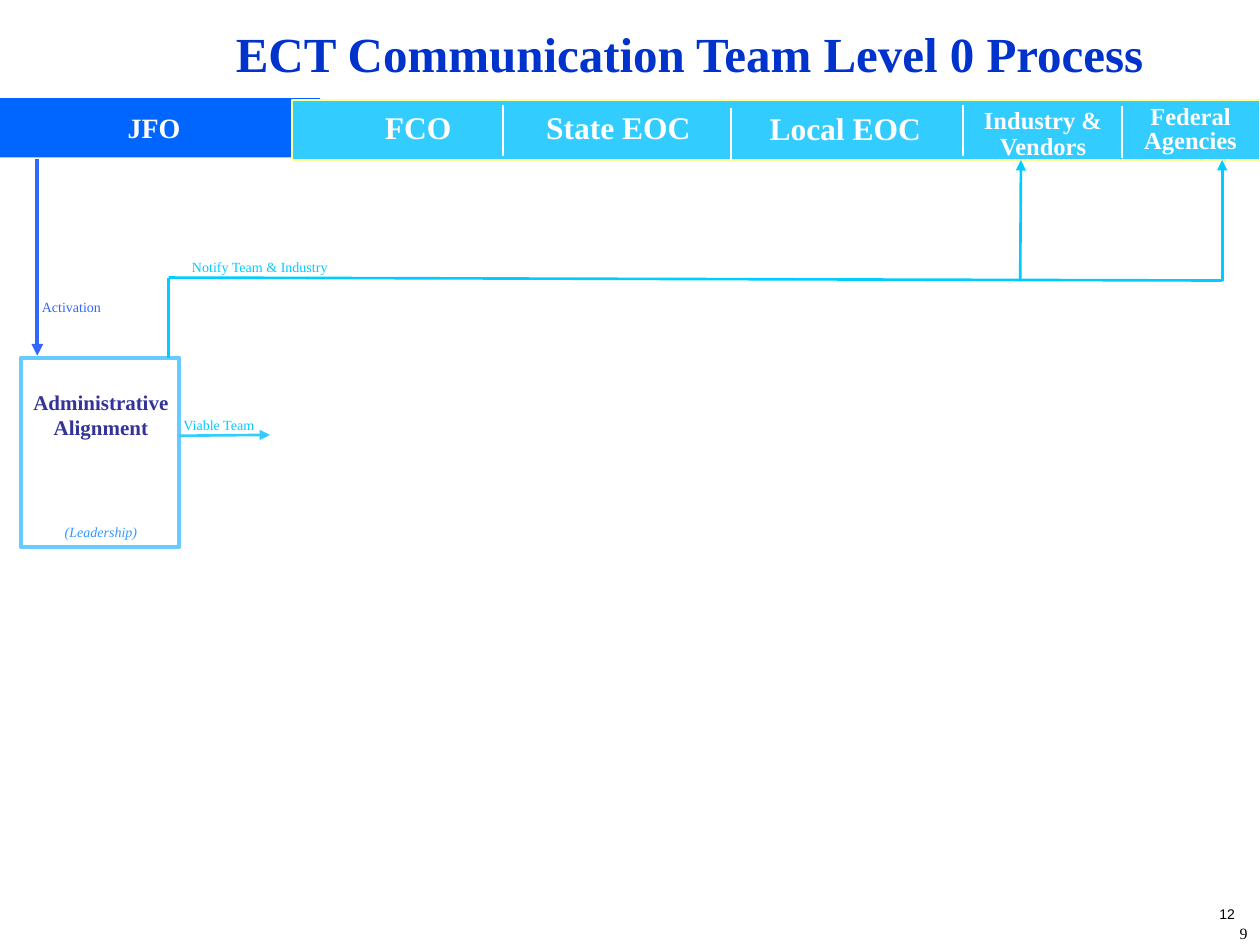
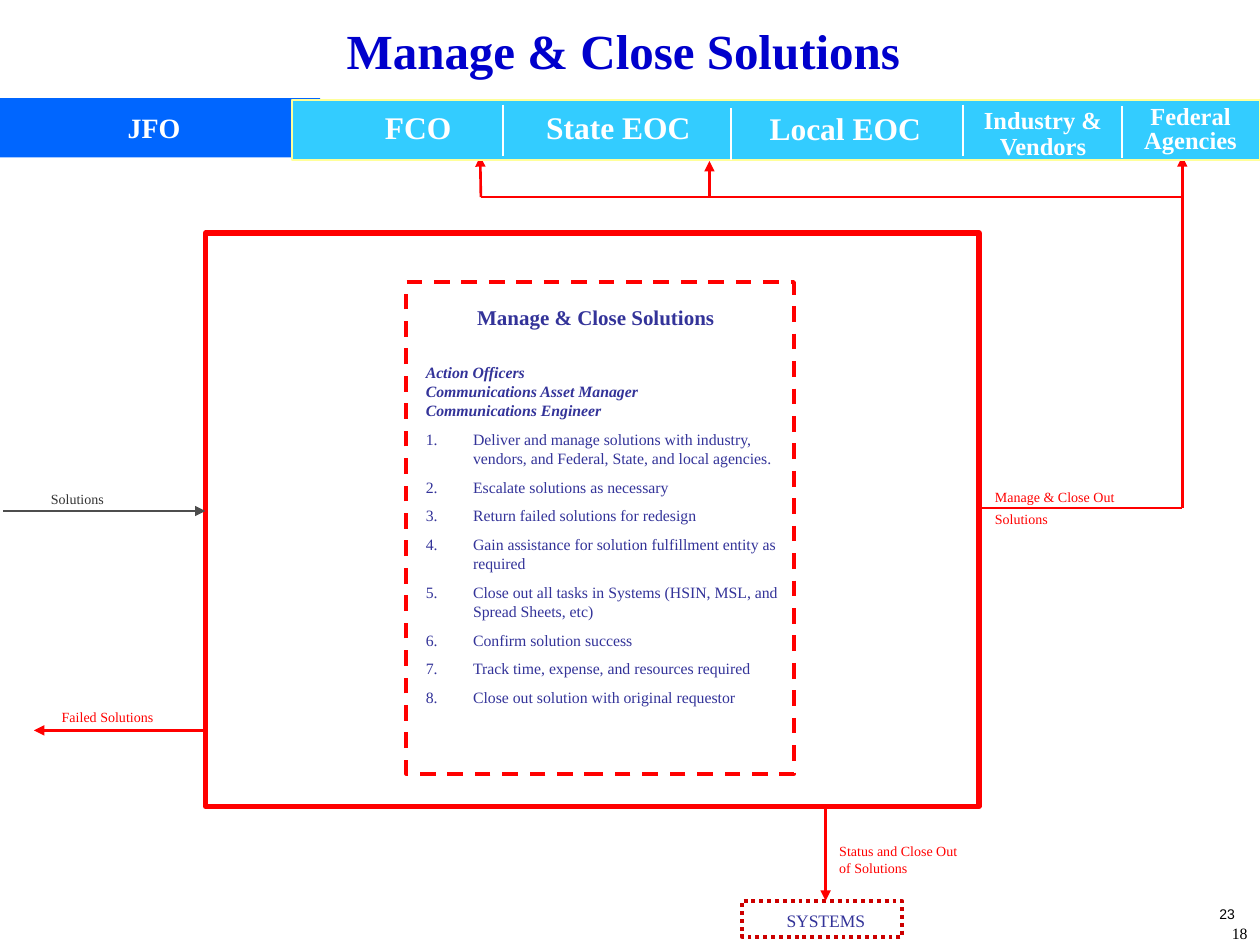
from typing import NamedTuple, Optional

import lxml.etree
import pptx
import pptx.dml.color
import pptx.enum.dml
import pptx.enum.shapes
import pptx.enum.text
import pptx.oxml.ns
import pptx.util

Pt = pptx.util.Pt
qn = pptx.oxml.ns.qn
Align = pptx.enum.text.PP_ALIGN
Dash = pptx.enum.dml.MSO_LINE

SERIF = "Times New Roman"
WHITE = "FFFFFF"
BLACK = "000000"
BLUE = "3366FF"
CYAN = "00CCFF"
SKY = "33CCFF"
INDIGO = "333399"
RED = "FF0000"
GREY = "4D4D4D"


class Label(NamedTuple):
    text: str
    left: float
    top: float
    width: float
    height: float
    size: float
    color: str
    align: Align = Align.LEFT
    bold: bool = False
    spacing: Optional[float] = None
    font: str = SERIF


class Box(NamedTuple):
    left: float
    top: float
    width: float
    height: float
    fill: Optional[str] = None
    line: Optional[str] = None
    weight: float = 1
    dash: Optional[Dash] = None


class Flow(NamedTuple):
    start: tuple[float, float]
    end: tuple[float, float]
    color: str
    weight: float = 1.5
    arrow: bool = True


BAND_BOXES = [
    Box(0, 56, 183, 34, "0066FF"),
    Box(167, 57, 553, 34.5, SKY, "FFFF99"),
]
BAND_LABELS = [
    Label("JFO", 0, 62, 176, 24.5, 16, WHITE, Align.CENTER, True, 0.9),
    Label("FCO", 206, 58.3, 66, 29, 18, WHITE, Align.CENTER, True),
    Label("State EOC", 287.3, 58.3, 132, 29, 18, WHITE, Align.CENTER, True),
    Label("Local EOC", 430, 59, 106, 29, 18, WHITE, Align.CENTER, True),
    Label("Industry & Vendors", 542, 58.3, 108, 37.5, 14, WHITE, Align.CENTER, True, 0.9),
    Label("Federal Agencies", 628.5, 57.6, 103.7, 34.5, 14, WHITE, Align.CENTER, True, 0.8),
]
BAND_DIVIDERS = [(287.3, 59.8), (417.6, 61.9), (550.4, 59.8), (641.2, 60.5)]
DIVIDER_HEIGHT = 29.5

ALIGNMENT_FLOWS = [
    Flow((21.3, 90.7), (21.3, 203.3), BLUE, 2.25),
    Flow((102.3, 249), (154.3, 248.5), SKY),
    Flow((96.3, 158.6), (96.3, 204.5), CYAN, arrow=False),
    Flow((96.3, 158.6), (698.4, 160.3), CYAN, arrow=False),
    Flow((583, 160), (583.4, 91.5), CYAN),
    Flow((698.4, 160.3), (698.4, 91.5), CYAN),
]
ALIGNMENT_LABELS = [
    Label("Activation", 16.8, 167, 54, 17, 8, BLUE),
    Label("Viable Team", 97.7, 233.3, 56.5, 18, 8, CYAN, spacing=1.1),
    Label("Notify Team & Industry", 102.6, 148.3, 129, 12.5, 8, CYAN, spacing=0.5),
]

SOLUTION_BOXES = [
    Box(117.4, 133.2, 442, 327.6, WHITE, RED, 3),
    Box(232.2, 161.2, 221.5, 281, None, RED, 2.25, Dash.DASH),
    Box(424, 514.8, 91.5, 20.5, None, "CC0000", 2.25, Dash.ROUND_DOT),
]
SOLUTION_FLOWS = [
    Flow((2, 292), (117.4, 292), GREY),
    Flow((559, 290.2), (675.6, 290.2), RED, arrow=False),
    Flow((675.6, 290.2), (675.6, 112.7), RED, arrow=False),
    Flow((274.8, 112.7), (675.6, 112.7), RED, arrow=False),
    Flow((274.8, 112.7), (274.4, 89.3), RED),
    Flow((405.4, 112.7), (405.4, 92), RED),
    Flow((675.6, 112.7), (675.6, 89.3), RED),
    Flow((471.8, 460.8), (471.8, 514.8), RED),
    Flow((117.4, 417.4), (19.4, 417.4), RED),
]
SOLUTION_LABELS = [
    Label("Solutions", 22, 275.8, 87, 18, 8, "333333", spacing=1.1),
    Label("Manage & Close Out Solutions", 561.4, 273, 106, 32.5, 8, RED, spacing=1.3),
    Label("Status and Close Out of Solutions", 472.5, 478, 88.5, 26.5, 8, RED),
    Label("Failed Solutions", 28.2, 401.2, 88.5, 17, 8, RED),
    Label("SYSTEMS", 433.4, 516.3, 77, 19.5, 10, INDIGO, Align.CENTER),
    Label("Manage & Close Solutions", 248, 170.6, 185, 21.5, 12, INDIGO, Align.CENTER, True),
]
ROLES = ["Action Officers", "Communications Asset Manager", "Communications Engineer"]
STEPS = [
    "Deliver and manage solutions with industry, vendors, and Federal, State, and local agencies.",
    "Escalate solutions as necessary",
    "Return failed solutions for redesign",
    "Gain assistance for solution fulfillment entity as required",
    "Close out all tasks in Systems (HSIN, MSL, and Spread Sheets, etc)",
    "Confirm solution success",
    "Track time, expense, and resources required",
    "Close out solution with original requestor",
]


def rgb(color: str) -> pptx.dml.color.RGBColor:
    return pptx.dml.color.RGBColor.from_string(color)


def set_font(para, size: float, color: str, bold: bool = False, italic: bool = False,
             name: str = SERIF) -> None:
    font = para.font
    font.name, font.size, font.bold, font.italic = name, Pt(size), bold, italic
    font.color.rgb = rgb(color)


def add_frame(shapes, left: float, top: float, width: float, height: float):
    """Add a wrapping text box and return its text frame."""
    frame = shapes.add_textbox(Pt(left), Pt(top), Pt(width), Pt(height)).text_frame
    frame.word_wrap = True
    return frame


def add_label(shapes, label: Label):
    frame = add_frame(shapes, label.left, label.top, label.width, label.height)
    para = frame.paragraphs[0]
    para.text = label.text
    para.alignment = label.align
    para.line_spacing = label.spacing
    set_font(para, label.size, label.color, label.bold, name=label.font)
    return frame


def add_box(shapes, box: Box) -> None:
    shape = shapes.add_shape(pptx.enum.shapes.MSO_SHAPE.RECTANGLE, Pt(box.left), Pt(box.top),
                             Pt(box.width), Pt(box.height))
    shape.shadow.inherit = False
    if box.fill:
        shape.fill.solid()
        shape.fill.fore_color.rgb = rgb(box.fill)
    else:
        shape.fill.background()
    if box.line:
        shape.line.color.rgb = rgb(box.line)
        shape.line.width = Pt(box.weight)
        if box.dash:
            shape.line.dash_style = box.dash
    else:
        shape.line.fill.background()


def add_flow(shapes, flow: Flow) -> None:
    connector = shapes.add_connector(pptx.enum.shapes.MSO_CONNECTOR.STRAIGHT,
                                     *map(Pt, flow.start + flow.end))
    connector.line.color.rgb = rgb(flow.color)
    connector.line.width = Pt(flow.weight)
    if flow.arrow:
        lxml.etree.SubElement(connector.line._get_or_add_ln(), qn("a:tailEnd"), type="triangle")
    lxml.etree.SubElement(connector._element.spPr, qn("a:effectLst"))


def add_title(page, text: str, left: float, top: float, width: float, color: str,
              align: Align) -> None:
    add_label(page.shapes, Label(text, left, top, width, 41, 28, color, align, True))


def add_organization_band(page) -> None:
    shapes = page.shapes.add_group_shape().shapes
    for box in BAND_BOXES:
        add_box(shapes, box)
    for x, top in BAND_DIVIDERS:
        add_flow(shapes, Flow((x, top), (x, top + DIVIDER_HEIGHT), WHITE, 1, arrow=False))
    for label in BAND_LABELS:
        add_label(shapes, label)


def add_page_numbers(page, upper: str, lower: str) -> None:
    add_label(page.shapes, Label(upper, 655.2, 514, 57.6, 23, 8, BLACK, Align.RIGHT, font="Arial"))
    add_label(page.shapes, Label(lower, 665.3, 524.2, 54.7, 18, 9, BLACK, Align.RIGHT))


def add_flows_and_labels(page, flows: list[Flow], labels: list[Label]) -> None:
    for flow in flows:
        add_flow(page.shapes, flow)
    for label in labels:
        add_label(page.shapes, label)


def number_paragraph(para) -> None:
    properties = para._p.get_or_add_pPr()
    indent = Pt(27)
    properties.set("marL", str(indent))
    properties.set("indent", str(-indent))
    bullet_color = lxml.etree.SubElement(properties, qn("a:buClr"))
    lxml.etree.SubElement(bullet_color, qn("a:srgbClr"), val=INDIGO)
    lxml.etree.SubElement(properties, qn("a:buAutoNum"), type="arabicPeriod")


def add_roles_and_steps(page) -> None:
    frame = add_frame(page.shapes, 236.2, 203.8, 217.5, 237)
    for index, text in enumerate(ROLES + STEPS):
        para = frame.add_paragraph() if index else frame.paragraphs[0]
        para.text = text
        is_role = index < len(ROLES)
        if not is_role:
            number_paragraph(para)
            para.space_before = Pt(5.6)
        set_font(para, 9, INDIGO, bold=is_role, italic=is_role)


def build_level_0_page(page) -> None:
    add_title(page, "ECT Communication Team Level 0 Process", 123, 10, 542, "0033CC", Align.CENTER)
    add_box(page.shapes, Box(12, 204.5, 90.3, 108, None, "66CCFF", 2.25))
    add_organization_band(page)
    add_flows_and_labels(page, ALIGNMENT_FLOWS, ALIGNMENT_LABELS)
    frame = add_label(page.shapes, Label("Administrative Alignment", 6.2, 219, 103, 109.5, 12,
                                         INDIGO, Align.CENTER, True))
    owner = frame.add_paragraph()
    owner.text = "(Leadership)"
    owner.alignment = Align.CENTER
    owner.space_before = Pt(47.6)
    set_font(owner, 8, "3399FF", italic=True)
    add_page_numbers(page, "12", "9")


def build_solutions_page(page) -> None:
    add_title(page, "Manage & Close Solutions", 149, 8, 372.3, "0000CC", Align.RIGHT)
    for box in SOLUTION_BOXES:
        add_box(page.shapes, box)
    add_flows_and_labels(page, SOLUTION_FLOWS, SOLUTION_LABELS)
    add_roles_and_steps(page)
    add_organization_band(page)
    add_page_numbers(page, "23", "18")


def main() -> None:
    deck = pptx.Presentation()
    deck.slide_width, deck.slide_height = Pt(720), Pt(540)
    blank = deck.slide_layouts[6]
    for build in (build_level_0_page, build_solutions_page):
        build(deck.slides.add_slide(blank))
    deck.save("out.pptx")


if __name__ == "__main__":
    main()
